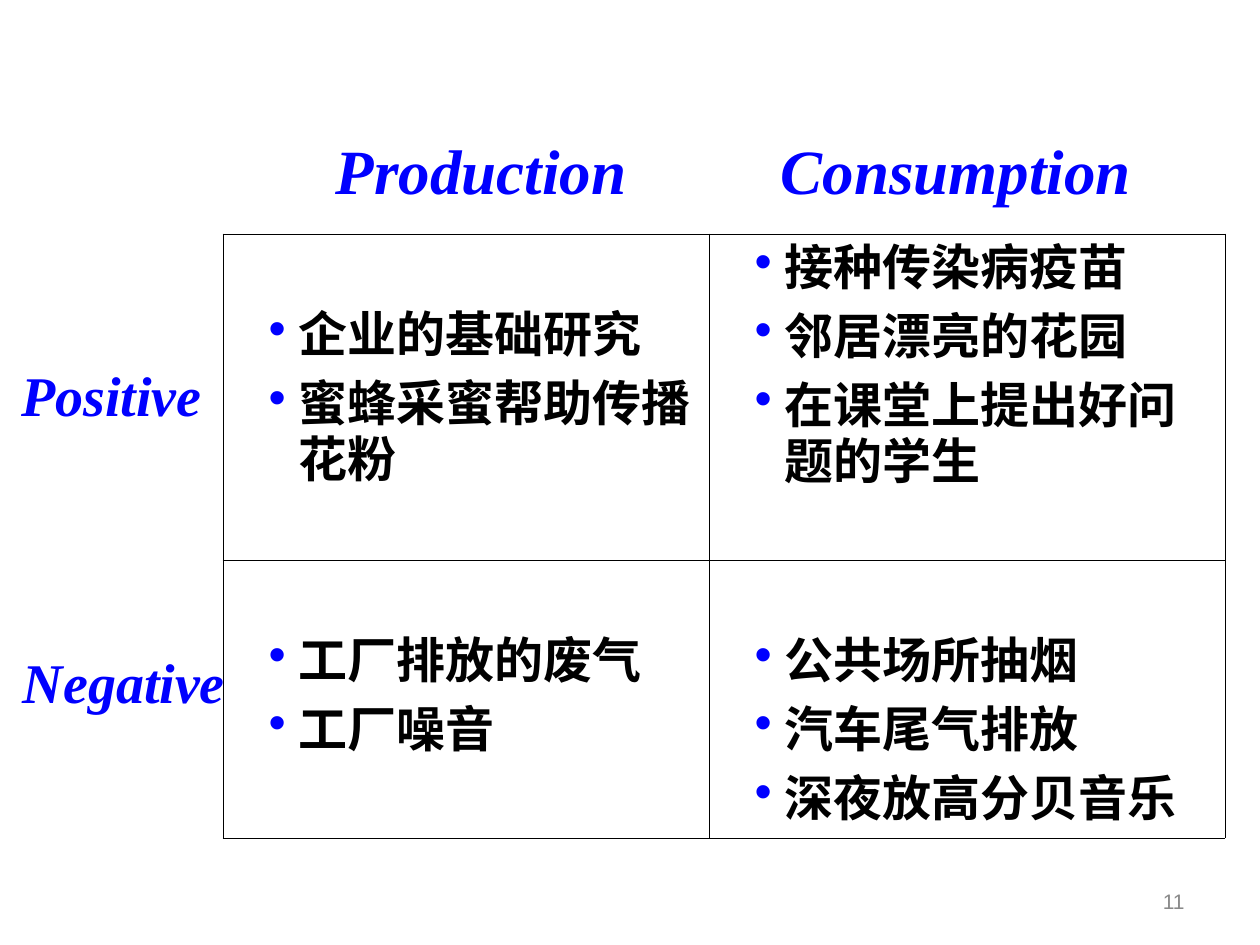
from dataclasses import dataclass

from lxml import etree
from pptx import Presentation
from pptx.dml.color import RGBColor
from pptx.enum.text import MSO_ANCHOR, MSO_AUTO_SIZE, PP_ALIGN
from pptx.oxml.ns import qn
from pptx.util import Pt

PX = 914400 / 126
CENTER, RIGHT = PP_ALIGN.CENTER, PP_ALIGN.RIGHT
TOP, MIDDLE = MSO_ANCHOR.TOP, MSO_ANCHOR.MIDDLE
FIXED, GROW = MSO_AUTO_SIZE.NONE, MSO_AUTO_SIZE.SHAPE_TO_FIT_TEXT
BLANK = 6


@dataclass(frozen=True)
class Theme:
    blue: str = "0000FF"
    black: str = "000000"
    gray: str = "898989"
    serif: str = "Times New Roman"
    sans: str = "Arial"
    cjk: str = "Noto Sans CJK SC"
    head: int = 36
    side: int = 32
    body: int = 28
    small: int = 12
    rule: float = 0.45


THEME = Theme()
LABEL = {"name": THEME.serif, "bold": True, "italic": True}
BODY = {"name": THEME.cjk, "size": Pt(THEME.body), "bold": True}
PAGE = {"name": THEME.sans, "size": Pt(THEME.small)}

PAGE_FRAME = {"word_wrap": True, "auto_size": FIXED, "vertical_anchor": MIDDLE}
HEAD_FRAME = {"word_wrap": False, "auto_size": GROW, "vertical_anchor": TOP}
SIDE_FRAME = {**HEAD_FRAME, "word_wrap": True}

LEFT, UPPER = 223, 234
COLS, ROWS = (486, 516), (326, 278)
PAD, DROP = 6, 73  # cell top margin: plain, and one line lower

CELLS = [
    [(DROP, ["企业的基础研究", "蜜蜂采蜜帮助传播花粉"]),
     (PAD, ["接种传染病疫苗", "邻居漂亮的花园", "在课堂上提出好问题的学生"])],
    [(DROP, ["工厂排放的废气", "工厂噪音"]),
     (DROP, ["公共场所抽烟", "汽车尾气排放", "深夜放高分贝音乐"])],
]
HEADS = [("Production", (321, 125, 320, 88)), ("Consumption", (766, 125, 380, 88))]
SIDES = [("Positive", (0, 354, 223, 81)), ("Negative", (0, 641, 248, 81))]


def px(n):
    return round(n * PX)


def apply(target, form):
    for key, value in form.items():
        setattr(target, key, value)


def add_run(para, text, form, color):
    run = para.add_run()
    run.text = text
    apply(run.font, form)
    run.font.color.rgb = RGBColor.from_string(color)
    return run


def add_text(slide, text, box, frame_form, form, color, align=CENTER):
    frame = slide.shapes.add_textbox(*map(px, box)).text_frame
    apply(frame, frame_form)
    para = frame.paragraphs[0]
    para.alignment = align
    add_run(para, text, form, color)


def add_bullet(para):
    props = para._p.get_or_add_pPr()
    props.set("marL", str(px(63)))
    props.set("indent", str(-px(30)))
    color = etree.SubElement(props, qn("a:buClr"))
    etree.SubElement(color, qn("a:srgbClr"), val=THEME.blue)
    etree.SubElement(props, qn("a:buFont"), typeface=THEME.sans)
    etree.SubElement(props, qn("a:buChar"), char="•")


def add_rules(cell):
    props = cell._tc.get_or_add_tcPr()
    for i, side in enumerate(("lnL", "lnR", "lnT", "lnB")):
        line = etree.Element(qn("a:" + side), w=str(Pt(THEME.rule)))
        fill = etree.SubElement(line, qn("a:solidFill"))
        etree.SubElement(fill, qn("a:srgbClr"), val=THEME.black)
        props.insert(i, line)


def fill_cell(cell, drop, items):
    cell.fill.background()
    cell.margin_top = px(drop)
    add_rules(cell)
    frame = cell.text_frame
    for i, item in enumerate(items):
        para = frame.add_paragraph() if i else frame.paragraphs[0]
        add_bullet(para)
        apply(para, {"level": 1, "line_spacing": 0.8, "space_before": Pt(7 if i else 0)})
        run = add_run(para, item, BODY, THEME.black)
        etree.SubElement(run._r.get_or_add_rPr(), qn("a:ea"), typeface=THEME.cjk)


def add_grid(slide):
    box = (LEFT, UPPER, sum(COLS), sum(ROWS))
    table = slide.shapes.add_table(len(ROWS), len(COLS), *map(px, box)).table
    table.first_row = table.horz_banding = False
    for col, width in zip(table.columns, COLS):
        col.width = px(width)
    for row, height, cells in zip(table.rows, ROWS, CELLS):
        row.height = px(height)
        for cell, (drop, items) in zip(row.cells, cells):
            fill_cell(cell, drop, items)


def main():
    deck = Presentation()
    deck.slide_width, deck.slide_height = px(1260), px(945)
    slide = deck.slides.add_slide(deck.slide_layouts[BLANK])
    add_text(slide, "11", (903, 876, 294, 50), PAGE_FRAME, PAGE, THEME.gray, RIGHT)
    add_grid(slide)
    for labels, size, frame_form in ((HEADS, THEME.head, HEAD_FRAME),
                                     (SIDES, THEME.side, SIDE_FRAME)):
        form = {**LABEL, "size": Pt(size)}
        for text, box in labels:
            add_text(slide, text, box, frame_form, form, THEME.blue)
    deck.save("out.pptx")


if __name__ == "__main__":
    main()
